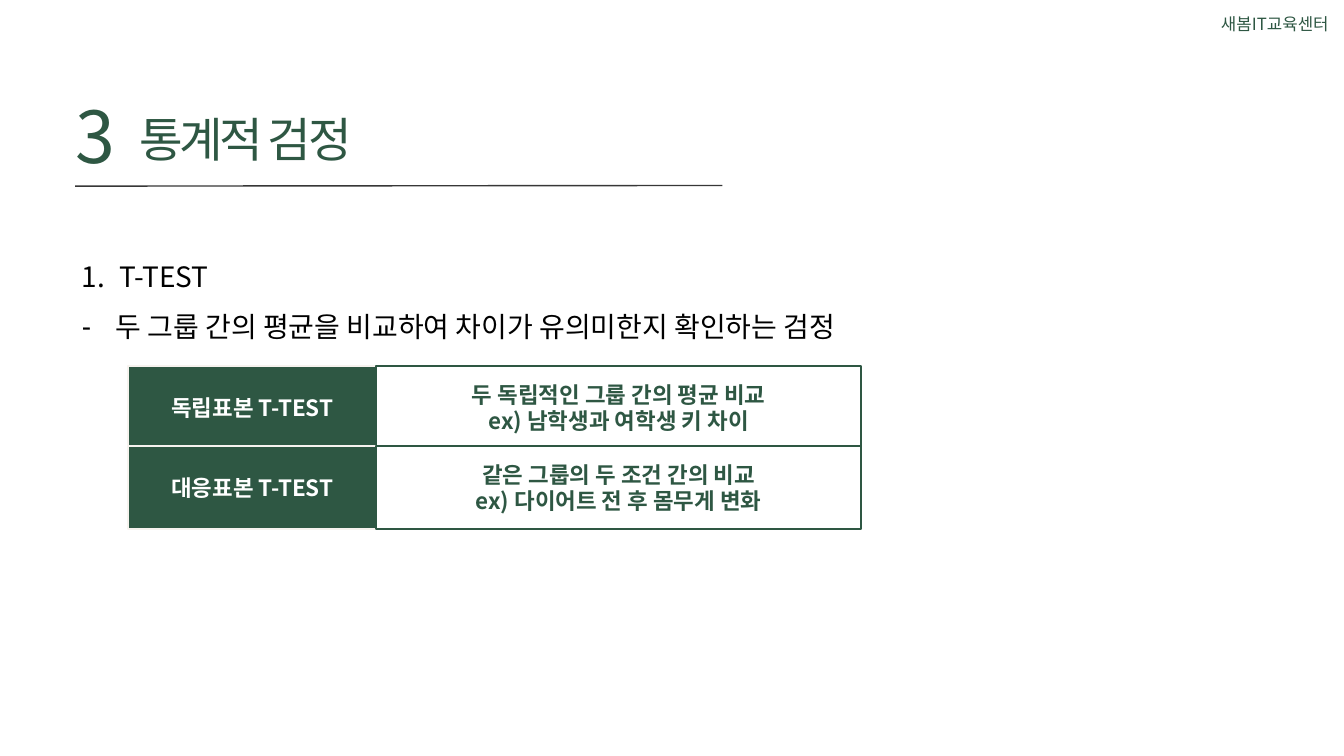
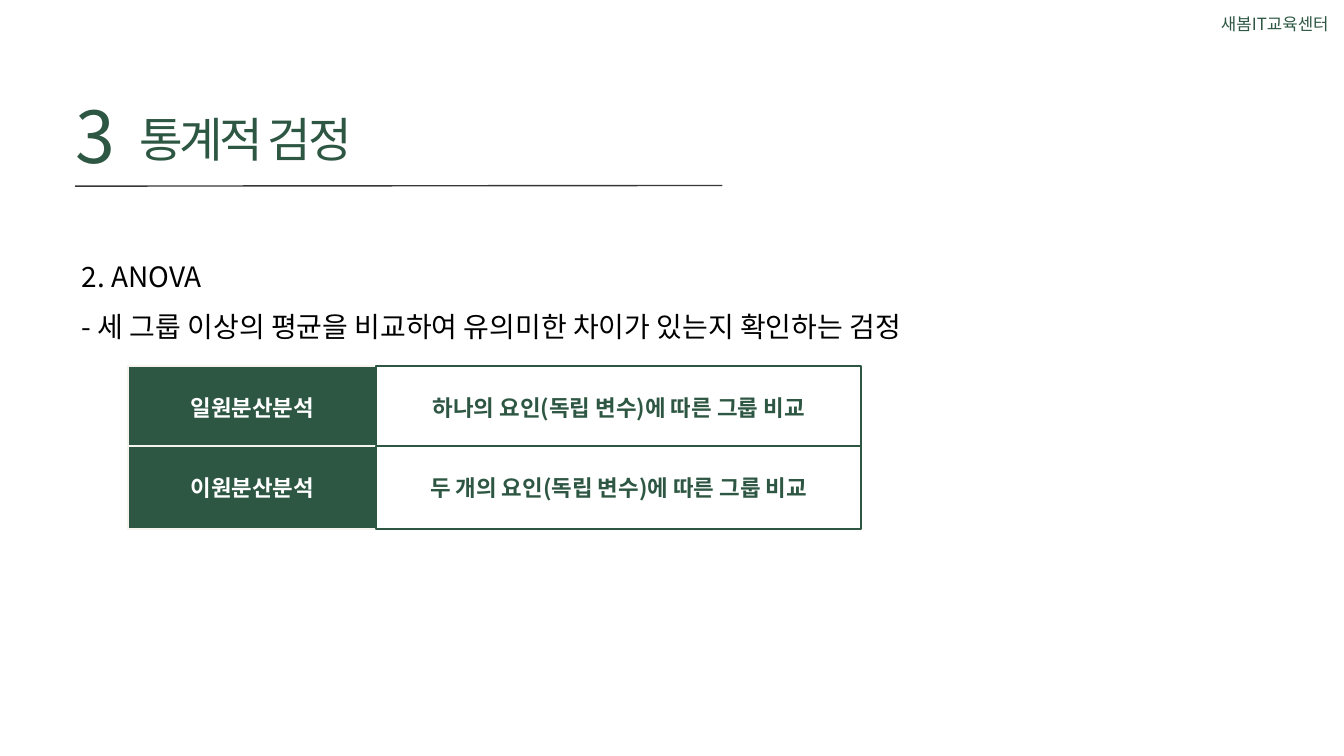
from lxml import etree
from pptx import Presentation
from pptx.dml.color import RGBColor
from pptx.enum import shapes, text
from pptx.oxml.ns import qn
from pptx.util import Emu, Pt

PX = 9144  # EMU per px, 100 px to the inch
FONT = "Noto Sans CJK KR"
COLORS = {"green": "2E5743", "cream": "F7F3EF", "white": "FFFFFF",
          "black": "000000", "rule": "373737"}

# Text styles: size, colour, bold, tracking, line spacing, alignment
LEFT, CENTER, RIGHT = text.PP_ALIGN.LEFT, text.PP_ALIGN.CENTER, text.PP_ALIGN.RIGHT
STYLES = {
    "brand": (18, "green", False, 0, 1.0, RIGHT),
    "title": (50.8, "green", False, -340, Pt(71.1), LEFT),
    "number": (76.8, "green", False, -510, Pt(107.5), LEFT),
    "body": (30, "black", False, 0, 1.5, LEFT),
    "label": (24, "white", True, 0, 1.0, CENTER),
    "detail": (24, "green", True, 0, 1.0, CENTER),
}

# List markers: tag, attributes, indent in px
PLAIN = ("a:buNone", {}, 0)
NUMBERED = ("a:buAutoNum", {"type": "arabicPeriod"}, 56)
DASHED = ("a:buChar", {"char": "-"}, 50)

# Grid of labels and details
GRID_LEFT, GRID_TOP, ROW_STEP, ROW_HEIGHT = 191, 545, 119, 123
LABEL_WIDTH, DETAIL_WIDTH = 369, 721


def color(name):
    return RGBColor.from_string(COLORS[name])


def px(*lengths):
    return [Emu(length * PX) for length in lengths]


class SlideKit:
    def __init__(self):
        self.deck = Presentation()
        self.deck.slide_width, self.deck.slide_height = px(2000, 1125)
        self.layout = self.deck.slide_layouts[1]
        self.page = None

    def new_page(self):
        self.page = self.deck.slides.add_slide(self.layout)

    def set_text(self, shape, lines, style, markers=None):
        size, ink, bold, tracking, spacing, align = STYLES[style]
        frame = shape.text_frame
        frame.text = "\n".join(lines)
        para_format = {"alignment": align, "line_spacing": spacing,
                       "space_before": Pt(0), "space_after": Pt(0)}
        font_format = {"size": Pt(size), "bold": bold, "name": FONT}
        for index, para in enumerate(frame.paragraphs):
            for key, value in para_format.items():
                setattr(para, key, value)
            if markers:
                self.mark(para, *markers[index])
            for span in para.runs:
                span.font.color.rgb = color(ink)
                for key, value in font_format.items():
                    setattr(span.font, key, value)
                props = span._r.get_or_add_rPr()
                props.set("spc", str(tracking))
                etree.SubElement(props, qn("a:ea"), typeface=FONT)

    def mark(self, para, tag, attributes, indent):
        props = para._p.get_or_add_pPr()
        props.set("marL", str(indent * PX))
        props.set("indent", str(-indent * PX))
        etree.SubElement(props, qn(tag), attributes)

    def fit(self, shape, inset=None):
        frame_format = {"word_wrap": True, "vertical_anchor": text.MSO_ANCHOR.TOP,
                        "auto_size": text.MSO_AUTO_SIZE.SHAPE_TO_FIT_TEXT}
        if inset is not None:
            for side in ("left", "top", "right", "bottom"):
                frame_format["margin_" + side] = inset
        for key, value in frame_format.items():
            setattr(shape.text_frame, key, value)

    def text_box(self, place, line, style, inset=None):
        box = self.page.shapes.add_textbox(*px(*place))
        self.fit(box, inset)
        self.set_text(box, [line], style)
        return box

    def placeholder(self, shape, place, lines, style, markers=None, inset=None):
        shape.left, shape.top, shape.width, shape.height = px(*place)
        self.fit(shape, inset)
        self.set_text(shape, lines, style, markers)

    def rule(self, *ends):
        line = self.page.shapes.add_connector(shapes.MSO_CONNECTOR.STRAIGHT, *px(*ends))
        line.line.color.rgb = color("rule")
        line.line.width = Pt(1.5)
        etree.SubElement(line.element.spPr, qn("a:effectLst"))

    def cell(self, place, lines, style, fill, border):
        box = self.page.shapes.add_shape(shapes.MSO_SHAPE.RECTANGLE, *px(*place))
        box.shadow.inherit = False
        box.fill.solid()
        box.fill.fore_color.rgb = color(fill)
        box.line.color.rgb = color(border)
        box.line.width = Pt(2)
        box.text_frame.word_wrap = True
        box.text_frame.vertical_anchor = text.MSO_ANCHOR.MIDDLE
        self.set_text(box, lines, style)

    def brand(self, name):
        box = self.text_box((1795, 15, 192, 40), name, "brand")
        self.layout.shapes.element.append(box.element)

    def heading(self, number, title):
        self.rule(112, 277, 1075, 276)
        self.placeholder(self.page.shapes.title, (207, 150, 598, 92), [title],
                         "title", inset=0)
        self.text_box((112, 116, 79, 138), number, "number", inset=0)

    def body(self, height, lines, markers):
        self.placeholder(self.page.placeholders[1], (112, 356, 1590, height),
                         lines, "body", markers)

    def grid(self, rows):
        for index, (label, details) in enumerate(rows):
            top = GRID_TOP + index * ROW_STEP
            self.cell((GRID_LEFT, top, LABEL_WIDTH, ROW_HEIGHT), [label],
                      "label", "green", "cream")
            self.cell((GRID_LEFT + LABEL_WIDTH, top, DETAIL_WIDTH, ROW_HEIGHT), details,
                      "detail", "white", "green")


# Content: body height, body lines, list markers, grid rows
TESTS = [
    (206, ["T-TEST", "두 그룹 간의 평균을 비교하여 차이가 유의미한지 확인하는 검정"],
     [NUMBERED, DASHED],
     [("독립표본 T-TEST", ["두 독립적인 그룹 간의 평균 비교", "ex) 남학생과 여학생 키 차이"]),
      ("대응표본 T-TEST", ["같은 그룹의 두 조건 간의 비교", "ex) 다이어트 전 후 몸무게 변화"])]),
    (153, ["2. ANOVA", "- 세 그룹 이상의 평균을 비교하여 유의미한 차이가 있는지 확인하는 검정"],
     [PLAIN, PLAIN],
     [("일원분산분석", ["하나의 요인(독립 변수)에 따른 그룹 비교"]),
      ("이원분산분석", ["두 개의 요인(독립 변수)에 따른 그룹 비교"])]),
]


def main():
    kit = SlideKit()
    for index, (height, lines, markers, rows) in enumerate(TESTS):
        kit.new_page()
        if index == 0:
            kit.brand("새봄IT교육센터")  # moved to the shared layout
        kit.heading("3", "통계적 검정")
        kit.body(height, lines, markers)
        kit.grid(rows)
    kit.deck.save("out.pptx")


if __name__ == "__main__":
    main()
